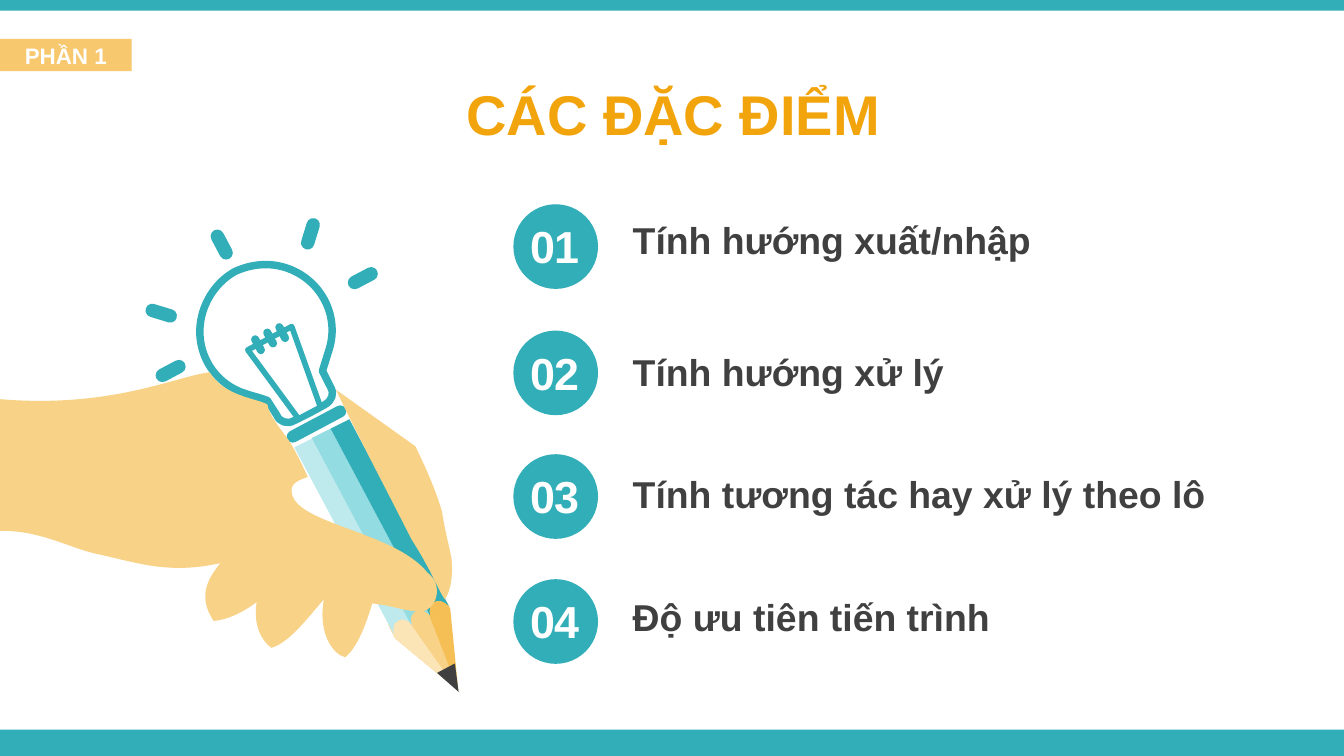
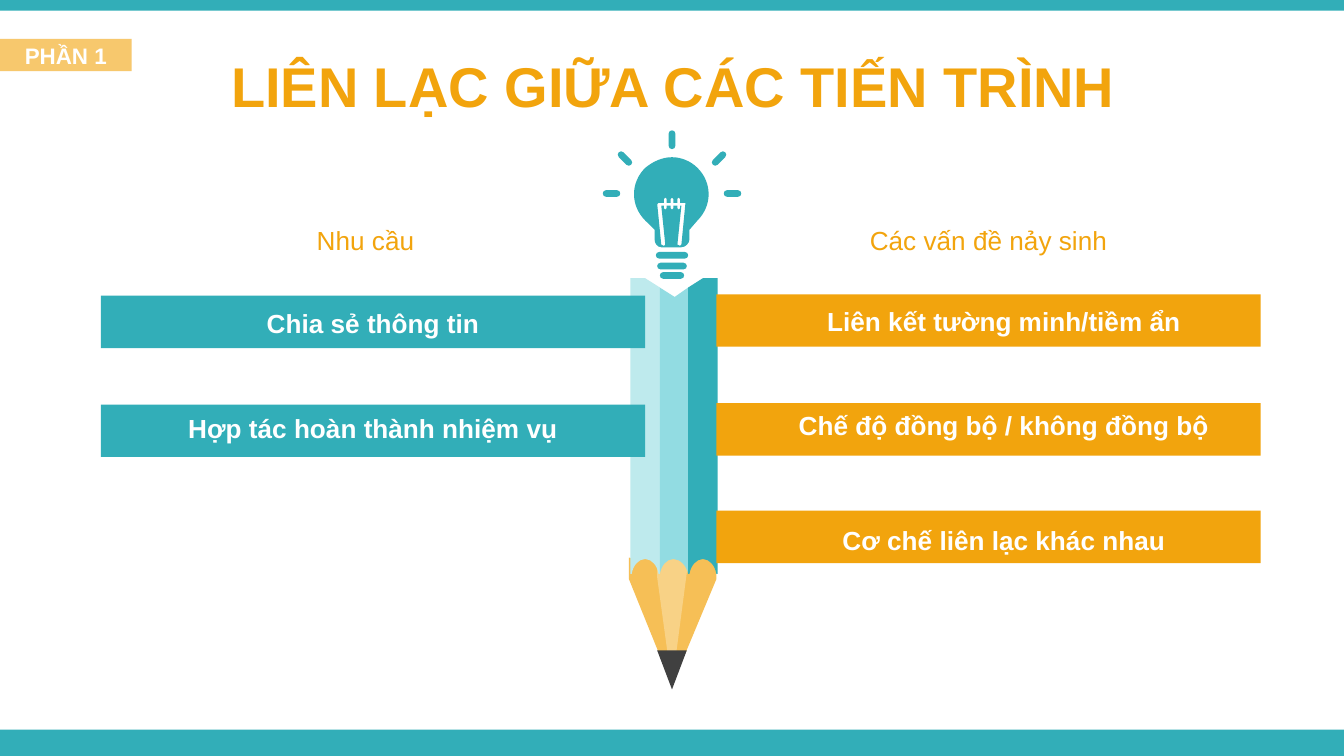
from dataclasses import dataclass
from math import cos, radians, sin

from lxml import etree
from pptx import Presentation
from pptx.dml.color import RGBColor
from pptx.enum.shapes import MSO_SHAPE
from pptx.enum.text import MSO_ANCHOR, MSO_AUTO_SIZE, PP_ALIGN
from pptx.oxml.ns import qn
from pptx.oxml.xmlchemy import OxmlElement
from pptx.shapes.autoshape import Shape
from pptx.slide import Slide
from pptx.util import Emu, Pt

RECT = MSO_SHAPE.RECTANGLE
PILL = MSO_SHAPE.ROUNDED_RECTANGLE
OVAL = MSO_SHAPE.OVAL
TRIANGLE = MSO_SHAPE.ISOSCELES_TRIANGLE
TRAPEZOID = MSO_SHAPE.TRAPEZOID
LEFT, CENTER = PP_ALIGN.LEFT, PP_ALIGN.CENTER

TEAL = RGBColor(0x32, 0xAE, 0xB8)
AQUA = RGBColor(0x92, 0xDC, 0xE2)
PALE_AQUA = RGBColor(0xBE, 0xEA, 0xED)
ORANGE = RGBColor(0xF2, 0xA4, 0x0D)
AMBER = RGBColor(0xF6, 0xBF, 0x56)
SKIN = RGBColor(0xF8, 0xD2, 0x86)
CREAM = RGBColor(0xFB, 0xE4, 0xB6)
CHARCOAL = RGBColor(0x40, 0x40, 0x40)
WHITE = RGBColor(0xFF, 0xFF, 0xFF)

EMU_PER_PX = 9144  # 100 px to the inch
WIDTH = 1000

Point = tuple[float, float]
Segment = list[Point]  # one point for a line, three for a curve
Contour = list[Segment]  # the first segment is the starting point
Box = tuple[int, int, int, int]


@dataclass(frozen=True)
class TextStyle:
    size: int
    color: RGBColor
    bold: bool = True
    align: PP_ALIGN = CENTER


@dataclass(frozen=True)
class Feature:
    label: str
    label_top: int
    circle_top: int


@dataclass(frozen=True)
class Bar:
    label: str
    label_top: int
    top: int


@dataclass(frozen=True)
class BarColumn:
    left: int
    color: RGBColor
    label_left: int
    label_width: int
    bars: list[Bar]


@dataclass(frozen=True)
class Outline:
    """Points joined by lines; M starts a contour, C takes three curve points."""
    points: str
    fill: RGBColor


TITLE = TextStyle(30, ORANGE)
HEADING = TextStyle(14, ORANGE, bold=False)
TAG = TextStyle(12, WHITE)
FEATURE = TextStyle(20, CHARCOAL, align=LEFT)
NUMBER = TextStyle(24, WHITE)
BAR = TextStyle(14, WHITE)
MIDDLE = {"word_wrap": True, "vertical_anchor": MSO_ANCHOR.MIDDLE}
GROWING = {"word_wrap": True, "auto_size": MSO_AUTO_SIZE.SHAPE_TO_FIT_TEXT}

FEATURES = [
    Feature("Tính hướng xuất/nhập", 157, 152),
    Feature("Tính hướng xử lý", 255, 246),
    Feature("Tính tương tác hay xử lý theo lô", 346, 338),
    Feature("Độ ưu tiên tiến trình", 437, 431),
]
NEEDS = BarColumn(75, TEAL, 75, 405, [
    Bar("Chia sẻ thông tin", 224, 220),
    Bar("Hợp tác hoàn thành nhiệm vụ", 302, 301),
])
ISSUES = BarColumn(533, ORANGE, 556, 382, [
    Bar("Liên kết tường minh/tiềm ẩn", 222, 219),
    Bar("Chế độ đồng bộ / không đồng bộ", 300, 300),
    Bar("Cơ chế liên lạc khác nhau", 385, 380),
])

TILTED_WOOD = [
    Outline("M 289,465 330,443 335,453 341,514 294,475", AMBER),
    Outline("M 302,457 316,450 319,457 341,514 307,467", SKIN),
    Outline("M 289,465 302,458 C 304,460 305,462 306,465 340,513 294,475", CREAM),
]
TILTED_STRIP = ("M 219,333 233,326 307,465 C 303,461 299,460 296,462 "
                "C 293,463 292,468 293,472")
TILTED_BULB = (
    "M 175,202 C 186,197 199,195 212,199 C 238,207 253,234 245,260 240,276 246,288 "
    "C 249,293 247,298 242,301 231,307 219,313 C 214,316 208,314 206,309 199,298 "
    "C 194,296 189,295 183,293 C 157,285 143,258 151,232 C 155,219 164,208 175,202")
HAND = Outline(
    "M 250,290 309,332 C 317,348 325,367 329,381 C 331,395 334,405 336,416 "
    "C 337,426 336,439 331,446 C 326,439 322,426 306,401 C 293,375 264,320 250,290 "
    "M 156,277 C 167,295 190,296 199,301 C 200,310 213,324 217,331 "
    "C 222,340 225,346 229,355 C 222,357 216,360 217,366 C 219,390 293,395 318,426 "
    "C 331,436 324,454 314,455 C 300,455 295,451 277,449 C 271,469 265,482 257,489 "
    "C 250,488 236,474 241,446 C 231,457 216,478 202,482 C 191,474 189,459 191,448 "
    "C 183,454 171,461 159,462 C 146,443 156,429 164,419 C 128,427 106,420 76,413 "
    "C 53,409 31,394 -2,395 0,297 C 83,304 131,280 156,277", SKIN)
RAYS = [(226, 162, 17), (115, 221, 287), (160, 170, 332), (265, 195, 62), (122, 264, 242)]
FILAMENT_COILS = [(189, 249), (198, 244), (207, 240)]
TILT = 332

UPRIGHT_PENCIL = [
    Outline("M 468,415 533,416 533,431 500,510 468,431", AMBER),
    Outline("M 489,415 511,415 511,426 500,510 489,430", SKIN),
    Outline("M 469,207 480,207 491,214 491,427 490,427 C 489,421 485,416 480,416 "
            "C 475,416 471,421 470,427 469,427", PALE_AQUA),
    Outline("M 491,214 502,221 512,214 512,427 C 511,421 506,416 501,416 "
            "C 496,416 492,421 491,427", AQUA),
    Outline("M 523,207 534,207 534,427 533,427 C 532,421 528,416 523,416 "
            "C 518,416 514,421 513,427 512,427 512,214", TEAL),
]
BULB_GLASS = (
    "M 500,117 C 507,117 514,120 519,125 C 530,136 530,153 519,164 513,171 513,178 "
    "C 513,181 510,184 507,184 492,184 C 489,184 487,181 487,178 487,171 480,164 "
    "C 469,153 469,136 480,125 C 486,120 493,117 500,117")
# centre x, centre y, length, turn
BULB_PILLS = [
    (500, 205, 18, 0), (500, 198, 22, 0), (500, 190, 24, 0),
    (455, 144, 13, 0), (545, 144, 13, 0), (500, 104, 14, 90),
    (535, 118, 13, -45), (465, 118, 13, 45),
]


def px(length: float) -> Emu:
    return Emu(round(length * EMU_PER_PX))


def paint(shape: Shape, fill: RGBColor, line: RGBColor | None = None, points: int = 0) -> None:
    shape.shadow.inherit = False
    shape.fill.solid()
    shape.fill.fore_color.rgb = fill
    if line is None:
        shape.line.fill.background()
    else:
        shape.line.color.rgb = line
        shape.line.width = Pt(points)


def draw_shape(slide: Slide, kind: MSO_SHAPE, box: Box, fill: RGBColor, turn: int = 0) -> Shape:
    shape = slide.shapes.add_shape(kind, *map(px, box))
    shape.rotation = turn
    paint(shape, fill)
    if kind == PILL:
        shape.adjustments[0] = 0.5
    return shape


def write(shape: Shape, text: str, style: TextStyle, frame_format: dict) -> None:
    for key, value in frame_format.items():
        setattr(shape.text_frame, key, value)
    paragraph = shape.text_frame.paragraphs[0]
    paragraph.alignment = style.align
    run = paragraph.add_run()
    run.text = text
    font_format = {"name": "Arial", "size": Pt(style.size), "bold": style.bold}
    for key, value in font_format.items():
        setattr(run.font, key, value)
    run.font.color.rgb = style.color


def draw_text(slide: Slide, box: Box, text: str, style: TextStyle, frame_format: dict) -> None:
    write(slide.shapes.add_textbox(*map(px, box)), text, style, frame_format)


def trace(points: str, dx: int = 0, dy: int = 0) -> list[Contour]:
    """Contours of an Outline's points, moved by dx and dy."""
    def place(token: str) -> Point:
        x, y = token.split(",")
        return int(x) + dx, int(y) + dy

    contours: list[Contour] = []
    tokens = iter(points.split())
    for token in tokens:
        if token == "M":
            contours.append([[place(next(tokens))]])
        elif token == "C":
            contours[-1].append([place(next(tokens)) for _ in range(3)])
        else:
            contours[-1].append([place(token)])
    return contours


def bend_curves(shape: Shape, segments: list[Segment]) -> None:
    """Turn the three lines drawn for each curve segment into one cubic curve."""
    lines = iter(list(shape._element.iter(qn("a:lnTo"))))
    for segment in segments:
        sides = [next(lines) for _ in segment]
        if len(sides) == 3:
            curve = OxmlElement("a:cubicBezTo")
            sides[0].addprevious(curve)
            for side in sides:
                curve.append(side[0])
                side.getparent().remove(side)


def draw_contours(slide: Slide, contours: list[Contour], fill: RGBColor) -> Shape:
    scaled = [[(px(x), px(y)) for segment in contour for x, y in segment]
              for contour in contours]
    builder = slide.shapes.build_freeform(*scaled[0][0])
    for index, contour in enumerate(scaled):
        if index:
            builder.move_to(*contour[0])
        builder.add_line_segments(contour[1:], close=True)
    shape = builder.convert_to_shape()
    bend_curves(shape, [segment for contour in contours for segment in contour[1:]])
    paint(shape, fill)
    return shape


def pill_contour(x: int, y: int, length: int, turn: int, radius: float = 2.5) -> Contour:
    angle = radians(turn)
    straight = length / 2 - radius
    bulge = straight + radius * 4 / 3

    def place(along: float, across: float) -> Point:
        return (x + along * cos(angle) - across * sin(angle),
                y + along * sin(angle) + across * cos(angle))

    contour: Contour = [[place(-straight, -radius)]]
    for side in (1, -1):
        contour.append([place(side * straight, -side * radius)])
        contour.append([place(side * bulge, -side * radius), place(side * bulge, side * radius),
                        place(side * straight, side * radius)])
    return contour


def filament_contour() -> Contour:
    coils = (495, 500, 505)
    corners: list[Point] = [(489, 152), (490, 151)]
    for x in coils:
        corners += [(x - 1, 151), (x - 1, 148), (x, 147), (x + 1, 148), (x + 1, 151)]
    corners += [(510, 151), (507, 182), (506, 183), (504, 182), (507, 153)]
    for x in reversed(coils):
        corners += [(x + 1, 153), (x + 1, 155), (x, 156), (x - 1, 155), (x - 1, 153)]
    corners += [(492, 153), (495, 182), (494, 183), (492, 182)]
    return [[corner] for corner in corners]


def start_slide(prs: Presentation, title: str, title_top: int) -> Slide:
    slide = prs.slides.add_slide(prs.slide_layouts[6])
    draw_shape(slide, RECT, (0, 543, WIDTH, 20), TEAL)
    draw_shape(slide, RECT, (0, 0, WIDTH, 8), TEAL)
    draw_text(slide, (1, title_top, WIDTH, 63), title, TITLE, MIDDLE)
    return slide


def draw_part_tag(slide: Slide) -> None:
    tag = draw_shape(slide, RECT, (0, 29, 98, 24), ORANGE)
    color = tag._element.spPr.find(f".//{qn('a:srgbClr')}")
    etree.SubElement(color, qn("a:alpha"), val="60000")
    write(tag, "PHẦN 1", TAG, MIDDLE)


def draw_writing_hand(slide: Slide) -> None:
    for wood in TILTED_WOOD:
        draw_contours(slide, trace(wood.points), wood.fill)
    for index, color in enumerate((PALE_AQUA, AQUA, TEAL)):
        draw_contours(slide, trace(TILTED_STRIP, 27 * index // 2, -7 * index), color)
    draw_shape(slide, TRIANGLE, (329, 496, 15, 20), CHARCOAL, TILT - 180)
    paint(draw_contours(slide, trace(TILTED_BULB), WHITE), WHITE, TEAL, 4)
    filament = draw_shape(slide, TRAPEZOID, (197, 248, 37, 63), WHITE, TILT - 180)
    paint(filament, WHITE, TEAL, 3)
    for left, top, turn in RAYS:
        draw_shape(slide, PILL, (left, top, 10, 24), TEAL, turn)
    draw_shape(slide, PILL, (211, 311, 49, 9), TEAL, TILT)
    for left, top in FILAMENT_COILS:
        draw_shape(slide, PILL, (left, top, 6, 15), TEAL, TILT)
    draw_contours(slide, trace(HAND.points), HAND.fill)


def draw_bars(slide: Slide, column: BarColumn) -> None:
    for bar in column.bars:
        draw_shape(slide, RECT, (column.left, bar.top, 405, 39), column.color)
        label_box = (column.label_left, bar.label_top, column.label_width, 34)
        draw_text(slide, label_box, bar.label, BAR, GROWING)


def build_features(prs: Presentation) -> None:
    slide = start_slide(prs, "CÁC ĐẶC ĐIỂM", 53)
    draw_writing_hand(slide)
    for number, feature in enumerate(FEATURES, start=1):
        top = feature.circle_top
        draw_text(slide, (461, feature.label_top, 504, 44), feature.label, FEATURE, GROWING)
        draw_shape(slide, OVAL, (382, top, 63, 63), TEAL)
        draw_text(slide, (378, top + 6, 70, 50), f"{number:02}", NUMBER, GROWING)
    draw_part_tag(slide)


def build_communication(prs: Presentation) -> None:
    slide = start_slide(prs, "LIÊN LẠC GIỮA CÁC TIẾN TRÌNH", 32)
    draw_text(slide, (75, 163, 394, 31), "Nhu cầu", HEADING, MIDDLE)
    for part in UPRIGHT_PENCIL:
        draw_contours(slide, trace(part.points), part.fill)
    draw_shape(slide, TRIANGLE, (489, 484, 22, 29), CHARCOAL, 180)
    for column in (ISSUES, NEEDS):
        draw_bars(slide, column)
    pills = [pill_contour(*pill) for pill in BULB_PILLS]
    draw_contours(slide, trace(BULB_GLASS) + [filament_contour()] + pills, TEAL)
    draw_text(slide, (533, 163, 405, 31), "Các vấn đề nảy sinh", HEADING, MIDDLE)
    draw_part_tag(slide)


def main() -> None:
    prs = Presentation()
    prs.slide_width = px(WIDTH)
    prs.slide_height = Emu(prs.slide_width * 9 // 16)
    build_features(prs)
    build_communication(prs)
    prs.save("out.pptx")


if __name__ == "__main__":
    main()
